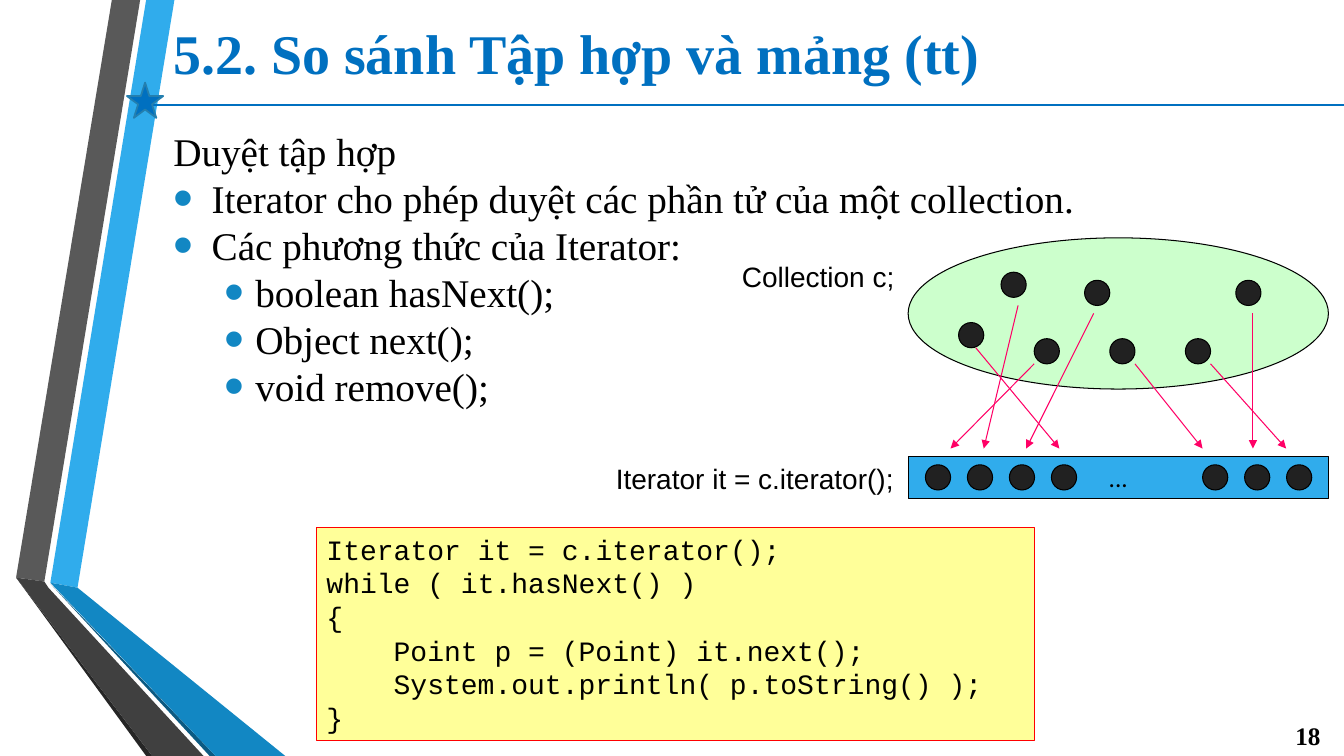
from lxml.etree import SubElement
from pptx import Presentation
from pptx.dml.color import RGBColor
from pptx.enum.shapes import MSO_CONNECTOR, MSO_SHAPE
from pptx.enum.text import MSO_ANCHOR, MSO_AUTO_SIZE, PP_ALIGN
from pptx.oxml.ns import qn
from pptx.util import Pt

BLACK = RGBColor(0x00, 0x00, 0x00)
TITLE_BLUE = RGBColor(0x00, 0x70, 0xC0)
STAR_EDGE = RGBColor(0x24, 0x7F, 0xAF)
LIGHT_BLUE = RGBColor(0x30, 0xAC, 0xEC)
MID_BLUE = RGBColor(0x12, 0x87, 0xC3)
DEEP_BLUE = RGBColor(0x0C, 0x5A, 0x82)
GREY = RGBColor(0x59, 0x59, 0x59)
DARK_GREY = RGBColor(0x40, 0x40, 0x40)
SHADOW_GREY = RGBColor(0x26, 0x26, 0x26)
DOT = RGBColor(0x21, 0x21, 0x21)
GREEN = RGBColor(0xCC, 0xFF, 0xCC)
YELLOW = RGBColor(0xFF, 0xFF, 0x99)
RED = RGBColor(0xFF, 0x00, 0x00)
PINK = RGBColor(0xFF, 0x00, 0x66)

TITLE = "5.2. So sánh Tập hợp và mảng (tt)"
# text, level (None: no bullet)
BODY = [
    ("Duyệt tập hợp", None),
    ("Iterator cho phép duyệt các phần tử của một collection.", 0),
    ("Các phương thức của Iterator:", 0),
    ("boolean hasNext();", 1),
    ("Object next();", 1),
    ("void remove();", 1),
]
BULLET_INDENTS = {None: (0, 0), 0: (27.4, -27.4), 1: (58.6, -22.3)}
# text, indent steps
CODE = [
    ("Iterator it = c.iterator();", 0),
    ("while ( it.hasNext() )", 0),
    ("{", 0),
    ("Point p = (Point) it.next();", 1),
    ("System.out.println( p.toString() );", 1),
    ("}", 0),
]
CODE_INDENT = 48

RIBBONS = [
    (LIGHT_BLUE, [(36, 416.2), (55.4, 419.8), (124.6, 0), (104.4, 0)]),
    (GREY, [(100.1, 0), (79.9, 0), (11.5, 412.6), (31.7, 415.4)]),
    (SHADOW_GREY, [(11.5, 412.6), (104.4, 540), (108.7, 540)]),
    (DEEP_BLUE, [(36, 416.9), (149.8, 540), (154.1, 540)]),
    (MID_BLUE, [(36, 416.2), (154.1, 540), (203.8, 540), (55.4, 419.8)]),
    (DARK_GREY, [(145.4, 540), (34.6, 419.8), (31.7, 415.4), (11.5, 412.6), (108.7, 540)]),
]
DOT_SIZE = 18
COLLECTION_DOTS = [(684.7, 230.4), (738.7, 241.9), (715, 194.4), (846.7, 241.9),
                   (792.7, 241.9), (882.7, 200.2), (774.7, 200.2)]
# left of the first dot, number of dots
ITERATOR_GROUPS = [(661, 4), (859, 3)]
ITERATOR_PITCH, ITERATOR_DOT_TOP = 30, 332
# start x, start y, end x
ARROWS = [(738.7, 259.9, 679), (697, 248.4, 756.7), (727.2, 218.2, 702.7), (781.2, 223.9, 733),
          (810.7, 259.9, 859), (864.7, 259.9, 918.7), (895, 223.9, 895)]
ARROW_END = 320.4
LABELS = [("Collection c;", (522.8, 181.6, 144, 31)),
          ("Iterator it = c.iterator();", (432.8, 326.2, 216, 31))]

presentation = Presentation()
presentation.slide_width, presentation.slide_height = Pt(960), Pt(540)
slide = presentation.slides.add_slide(presentation.slide_layouts[1])
shapes = slide.shapes


def paint(shape, fill, line=None, width=0.75):
    shape.shadow.inherit = False
    shape.fill.solid()
    shape.fill.fore_color.rgb = fill
    if line is None:
        shape.line.fill.background()
    else:
        shape.line.color.rgb = line
        shape.line.width = Pt(width)


def add_painted(kind, box, fill, line=BLACK, width=0.75):
    shape = shapes.add_shape(kind, *map(Pt, box))
    paint(shape, fill, line, width)
    return shape


def add_line(start, end, color, width):
    line = shapes.add_connector(MSO_CONNECTOR.STRAIGHT, *map(Pt, start + end))
    line.line.color.rgb = color
    line.line.width = Pt(width)
    SubElement(line._element.spPr, qn("a:effectLst"))
    return line


def write(paragraph, text, font, size, color=BLACK, bold=False, align=PP_ALIGN.LEFT):
    paragraph.alignment = align
    paragraph.space_before = Pt(0)
    run = paragraph.add_run()
    run.text = text
    for name, value in {"name": font, "size": Pt(size), "bold": bold}.items():
        setattr(run.font, name, value)
    run.font.color.rgb = color


def set_frame(frame, anchor=MSO_ANCHOR.TOP, wrap=True):
    settings = {"word_wrap": wrap, "vertical_anchor": anchor, "auto_size": MSO_AUTO_SIZE.NONE}
    for name, value in settings.items():
        setattr(frame, name, value)
    return frame


def place(shape, box):
    for name, value in zip(("left", "top", "width", "height"), box):
        setattr(shape, name, Pt(value))


def add_paragraphs(frame, count):
    return [frame.paragraphs[0]] + [frame.add_paragraph() for _ in range(count - 1)]


def set_bullet(paragraph, level):
    properties = paragraph._p.get_or_add_pPr()
    for name, value in zip(("marL", "indent"), BULLET_INDENTS[level]):
        properties.set(name, str(Pt(value)))
    if level is None:
        SubElement(properties, qn("a:buNone"))
        return
    color = SubElement(properties, qn("a:buClr"))
    SubElement(color, qn("a:srgbClr"), val=str(MID_BLUE))
    SubElement(properties, qn("a:buSzPct"), val="145000")
    SubElement(properties, qn("a:buFont"), typeface="Arial")
    SubElement(properties, qn("a:buChar"), char="•")


# Side ribbons and title rule
for color, points in RIBBONS:
    corners = [(Pt(x), Pt(y)) for x, y in points]
    builder = shapes.build_freeform(*corners[0])
    builder.add_line_segments(corners[1:], close=True)
    paint(builder.convert_to_shape(), color)
add_line((108, 74.9), (960, 74.9), TITLE_BLUE, 1.75)
add_painted(MSO_SHAPE.STAR_5_POINT, (90.7, 59, 25.9, 25.2), TITLE_BLUE, STAR_EDGE, 1.25)

# Title, list and slide number
title, body = shapes.title, slide.placeholders[1]
place(title, (116.6, 0, 832.3, 74.9))
write(set_frame(title.text_frame, MSO_ANCHOR.MIDDLE).paragraphs[0],
      TITLE, "Times New Roman", 40, TITLE_BLUE, True)
place(body, (116.6, 87.1, 832.3, 424.1))
body_frame = set_frame(body.text_frame)
for paragraph, (text, level) in zip(add_paragraphs(body_frame, len(BODY)), BODY):
    paragraph.level = level or 0
    write(paragraph, text, "Times New Roman", 28)
    set_bullet(paragraph, level)
number = shapes.add_textbox(*map(Pt, (897.8, 511.2, 52.6, 28.8)))
write(set_frame(number.text_frame, MSO_ANCHOR.MIDDLE).paragraphs[0],
      "18", "Times New Roman", 18, bold=True, align=PP_ALIGN.RIGHT)

# Collection above, iterator bar below, arrows between them
add_painted(MSO_SHAPE.OVAL, (648.7, 169.9, 300.2, 108), GREEN)
bar = add_painted(MSO_SHAPE.RECTANGLE, (648.7, 326.2, 300.2, 30.2), LIGHT_BLUE)
write(set_frame(bar.text_frame, MSO_ANCHOR.MIDDLE, False).paragraphs[0],
      "...", "Calibri", 18, align=PP_ALIGN.CENTER)
iterator_dots = [(left + index * ITERATOR_PITCH, ITERATOR_DOT_TOP)
                 for left, count in ITERATOR_GROUPS for index in range(count)]
for left, top in COLLECTION_DOTS + iterator_dots:
    add_painted(MSO_SHAPE.OVAL, (left, top, DOT_SIZE, DOT_SIZE), DOT)
for start_x, start_y, end_x in ARROWS:
    arrow = add_line((start_x, start_y), (end_x, ARROW_END), PINK, 0.75)
    SubElement(arrow.line._get_or_add_ln(), qn("a:tailEnd"), type="triangle")
for text, box in LABELS:
    label = shapes.add_textbox(*map(Pt, box))
    write(set_frame(label.text_frame).paragraphs[0], text, "Arial", 20)

# Code sample
code_box = add_painted(MSO_SHAPE.RECTANGLE, (226.1, 376.6, 512.6, 152.6), YELLOW, RED)
code_frame = set_frame(code_box.text_frame)
for paragraph, (text, steps) in zip(add_paragraphs(code_frame, len(CODE)), CODE):
    write(paragraph, text, "Courier New", 20)
    paragraph._p.get_or_add_pPr().set("marL", str(Pt(steps * CODE_INDENT)))

presentation.save("out.pptx")
